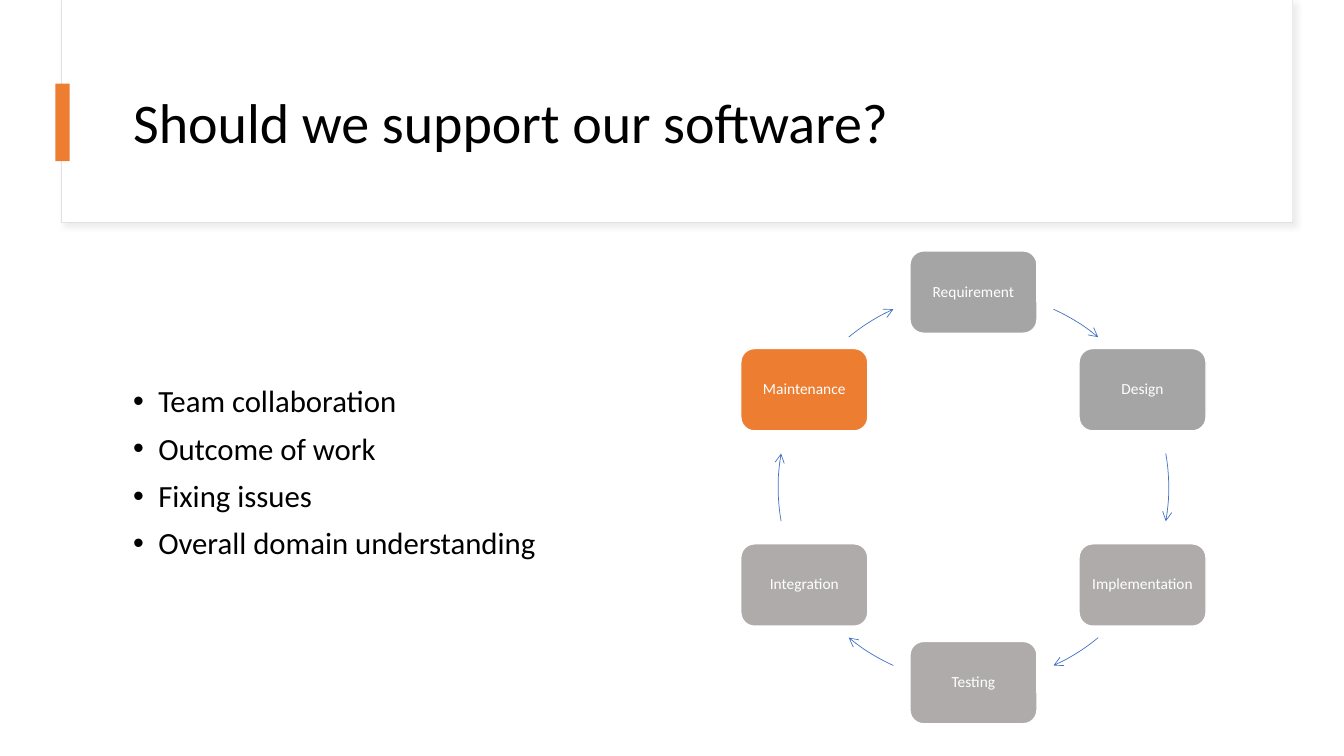
import math
from lxml import etree
from pptx import Presentation, util as u
from pptx.dml import color
from pptx.enum import shapes, text
from pptx.oxml import ns, parse_xml

presentation = Presentation()
presentation.slide_width, presentation.slide_height = u.Inches(13.33), u.Inches(7.5)
slide = presentation.slides.add_slide(presentation.slide_layouts[1])


def box(left, top, width, height):
    """Turn percentages of the slide's size into lengths."""
    column, row = presentation.slide_width / 100, presentation.slide_height / 100
    return [u.Emu(round(n)) for n in (left * column, top * row, width * column, height * row)]


def paint(part, hex_value):
    """Colour a fill or a line solid; a font directly."""
    if hasattr(part, "solid"):
        part.solid()
        part.fore_color.rgb = color.RGBColor.from_string(hex_value)
    else:
        part.color.rgb = color.RGBColor.from_string(hex_value)


# Header panel (outlined, with a white cover) and accent bar
header = [((4.58, 0, 91.6, 29.47), "FFFFFF"),
          ((4.65, 0, 91.52, 29.33), "FFFFFF"),
          ((4.13, 11.07, 1.05, 10.27), "ED7D31")]
for depth, (place, fill) in enumerate(header):
    panel = slide.shapes.add_shape(shapes.MSO_SHAPE.RECTANGLE, *box(*place))
    panel.shadow.inherit = False
    paint(panel.fill, fill)
    if depth == 0:
        paint(panel.line, "E1E1E1")
        panel.line.width = u.Pt(0.75)
        effects = panel._element.spPr.find(ns.qn("a:effectLst"))
        effects.append(parse_xml(
            f'<a:outerShdw {ns.nsdecls("a")} blurRad="50800" dist="38100" dir="2700000" '
            'algn="tl" rotWithShape="0"><a:srgbClr val="D9D9D9"><a:alpha val="50000"/>'
            '</a:srgbClr></a:outerShdw>'))
    else:
        panel.line.fill.background()
    slide.shapes._spTree.insert(2 + depth, panel._element)

# Title and bullet list
title, body = slide.placeholders
title.text_frame.text = "Should we support our software?"
body.text_frame.text = "\n".join(["Team collaboration", "Outcome of work",
                                  "Fixing issues", "Overall domain understanding"])
for placeholder, place, size in [(title, (9.15, 8, 83.42, 17.2), 40),
                                 (body, (9.15, 29.47, 40.89, 66.4), 22)]:
    placeholder.left, placeholder.top, placeholder.width, placeholder.height = box(*place)
    placeholder.text_frame.vertical_anchor = text.MSO_ANCHOR.MIDDLE
    for paragraph in placeholder.text_frame.paragraphs:
        paragraph.alignment = text.PP_ALIGN.LEFT
        paragraph.line_spacing = 0.9
        font = paragraph.runs[0].font
        font.name, font.size = "Calibri", u.Pt(size)
        paint(font, "000000")
for paragraph in body.text_frame.paragraphs:
    paragraph.space_before = u.Pt(10)
    properties = paragraph._p.get_or_add_pPr()
    properties.set("marL", str(u.Inches(0.25)))
    properties.set("indent", str(-u.Inches(0.25)))

# Life cycle: stages clockwise from the top, each followed by an arc to the next
center_x, center_y = 72.43, 64.47
radius_x, radius_y = 14.53, 25.83
stage_width, stage_height = 9.45, 10.9
stages = [("Requirement", "A5A5A5", 24.2, 39.7), ("Design", "A5A5A5", 80, 100),
          ("Implementation", "AFABAB", 140.3, 155.8), ("Testing", "AFABAB", 204.2, 219.7),
          ("Integration", "AFABAB", 260, 280), ("Maintenance", "ED7D31", 320.3, 335.8)]
for index, (name, fill, start, end) in enumerate(stages):
    angle = 2 * math.pi * index / len(stages)
    stage = slide.shapes.add_shape(
        shapes.MSO_SHAPE.ROUNDED_RECTANGLE,
        *box(center_x + radius_x * math.sin(angle) - stage_width / 2,
             center_y - radius_y * math.cos(angle) - stage_height / 2,
             stage_width, stage_height))
    stage.shadow.inherit = False
    paint(stage.fill, fill)
    paint(stage.line.fill, "FFFFFF")
    stage.line.width = u.Pt(1)
    frame = stage.text_frame
    frame.text = name
    frame.margin_left = frame.margin_right = u.Inches(0.09)
    frame.vertical_anchor = text.MSO_ANCHOR.MIDDLE
    paragraph = frame.paragraphs[0]
    paragraph.alignment = text.PP_ALIGN.CENTER
    paragraph.line_spacing = 0.9
    font = paragraph.runs[0].font
    font.name, font.size = "Calibri", u.Pt(11)
    paint(font, "FFFFFF")

    arrow = slide.shapes.add_shape(
        shapes.MSO_SHAPE.ARC,
        *box(center_x - radius_x, center_y - radius_y, 2 * radius_x, 2 * radius_y))
    arrow.shadow.inherit = False
    arrow.fill.background()
    paint(arrow.line.fill, "4472C4")
    arrow.line.width = u.Pt(0.5)
    # Arc angles count from three o'clock; one degree is 0.6 adjustment units
    for handle, degrees in enumerate((start, end)):
        arrow.adjustments[handle] = (degrees - 90) % 360 * 0.6
    etree.SubElement(arrow.line._get_or_add_ln(), ns.qn("a:tailEnd"), type="arrow")

presentation.save("out.pptx")
